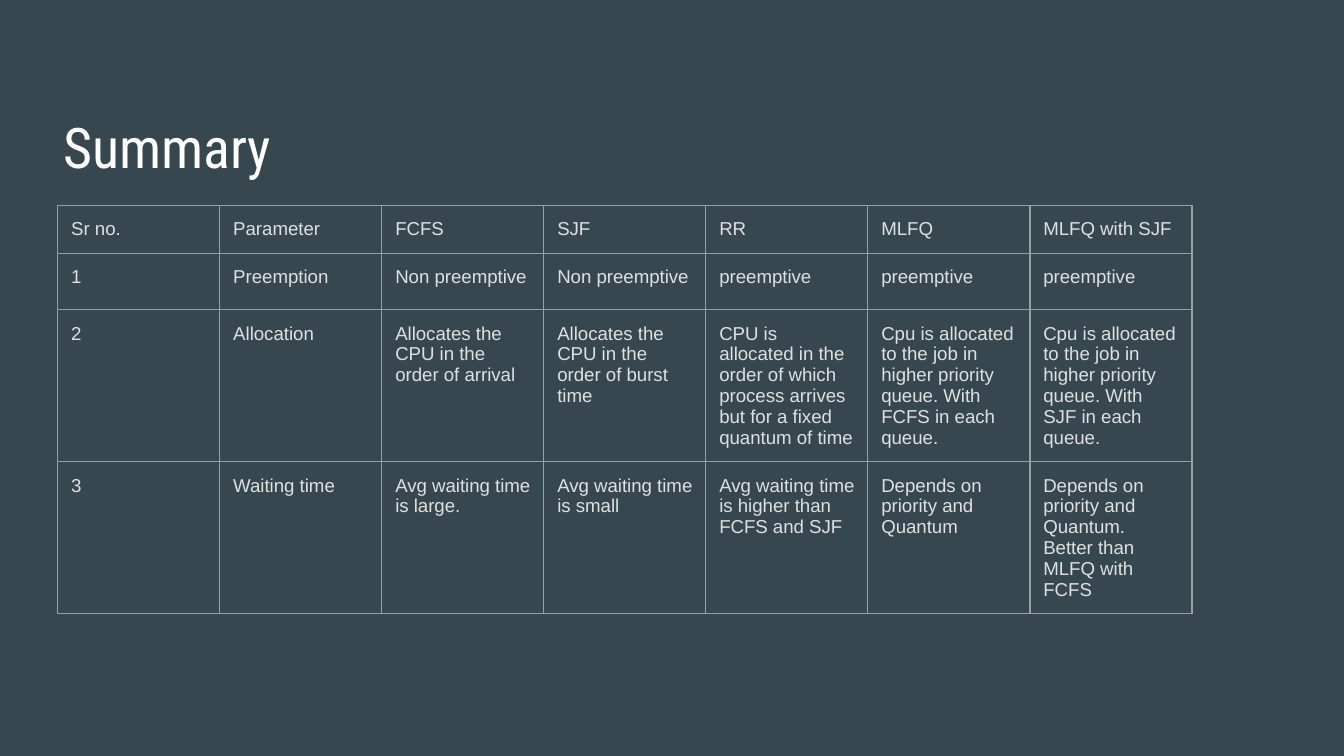
from lxml.etree import SubElement
from pptx import Presentation
from pptx.dml.color import RGBColor
from pptx.enum.text import MSO_ANCHOR as Anchor, MSO_AUTO_SIZE as AutoSize, PP_ALIGN as Align
from pptx.oxml.ns import qn
from pptx.util import Inches, Pt

SLATE = RGBColor(0x37, 0x47, 0x4F)
WHITE = RGBColor(0xFF, 0xFF, 0xFF)
PALE_GREY = RGBColor(0xE0, 0xE0, 0xE0)
MID_GREY = RGBColor(0x9E, 0x9E, 0x9E)

WIDTH = Inches(10)
HEIGHT = WIDTH * 9 // 16
INSET = Inches(0.1)
MARGINS = {f"margin_{side}": INSET for side in ("left", "top", "right", "bottom")}
ROW_HEIGHTS = [Inches(height) for height in (0.35, 0.42, 1.13, 1.13)]

COMPARISON = [
    ["Sr no.", "Parameter", "FCFS", "SJF", "RR", "MLFQ", "MLFQ with SJF"],
    ["1", "Preemption", "Non preemptive", "Non preemptive",
     "preemptive", "preemptive", "preemptive"],
    ["2", "Allocation",
     "Allocates the CPU in the order of arrival",
     "Allocates the CPU in the order of burst time",
     "CPU is allocated in the order of which process arrives but for a fixed quantum of time",
     "Cpu is allocated to the job in higher priority queue. With FCFS in each queue.",
     "Cpu is allocated to the job in higher priority queue. With SJF in each queue."],
    ["3", "Waiting time",
     "Avg waiting time is large.",
     "Avg waiting time is small",
     "Avg waiting time is higher than FCFS and SJF",
     "Depends on priority and Quantum",
     "Depends on priority and Quantum. Better than MLFQ with FCFS"],
]


def apply(target, formats):
    for name, value in formats.items():
        setattr(target, name, value)


def write(frame, text, font_name, size, color):
    frame.text = text
    paragraph = frame.paragraphs[0]
    paragraph.alignment = Align.LEFT
    font = paragraph.runs[0].font
    apply(font, {"name": font_name, "size": Pt(size)})
    font.color.rgb = color


def outline_cell(cell):
    properties = cell._tc.get_or_add_tcPr()
    for position, side in enumerate(("lnL", "lnR", "lnT", "lnB")):
        border = SubElement(properties, qn(f"a:{side}"), w=str(Pt(0.75)))
        paint = SubElement(border, qn("a:solidFill"))
        SubElement(paint, qn("a:srgbClr"), val=str(MID_GREY))
        properties.insert(position, border)


def place_heading(slide, left, top, width, height):
    heading = slide.shapes.title
    apply(heading, {"left": left, "top": top, "width": width, "height": height})
    frame = heading.text_frame
    apply(frame, MARGINS | {"vertical_anchor": Anchor.TOP, "auto_size": AutoSize.NONE,
                            "word_wrap": True})
    write(frame, "Summary", "Roboto Condensed", 30, WHITE)


def place_comparison(slide, left, top, width, row_heights):
    column_count = len(COMPARISON[0])
    table = slide.shapes.add_table(len(COMPARISON), column_count, left, top,
                                   width, sum(row_heights)).table
    apply(table, {"first_row": False, "horz_banding": False})
    for column in table.columns:
        column.width = width // column_count
    for row, height, entries in zip(table.rows, row_heights, COMPARISON):
        row.height = height
        for cell, entry in zip(row.cells, entries):
            apply(cell, MARGINS | {"vertical_anchor": Anchor.TOP})
            cell.fill.background()
            outline_cell(cell)
            write(cell.text_frame, entry, "Arial", 10, PALE_GREY)


def main():
    deck = Presentation()
    apply(deck, {"slide_width": WIDTH, "slide_height": HEIGHT})
    slide = deck.slides.add_slide(deck.slide_layouts[5])
    slide.background.fill.solid()
    slide.background.fill.fore_color.rgb = SLATE
    place_heading(slide, Inches(0.37), Inches(0.74), Inches(9.32), Inches(0.63))
    place_comparison(slide, Inches(0.43), Inches(1.53), Inches(8.44), ROW_HEIGHTS)
    deck.save("out.pptx")


if __name__ == "__main__":
    main()
